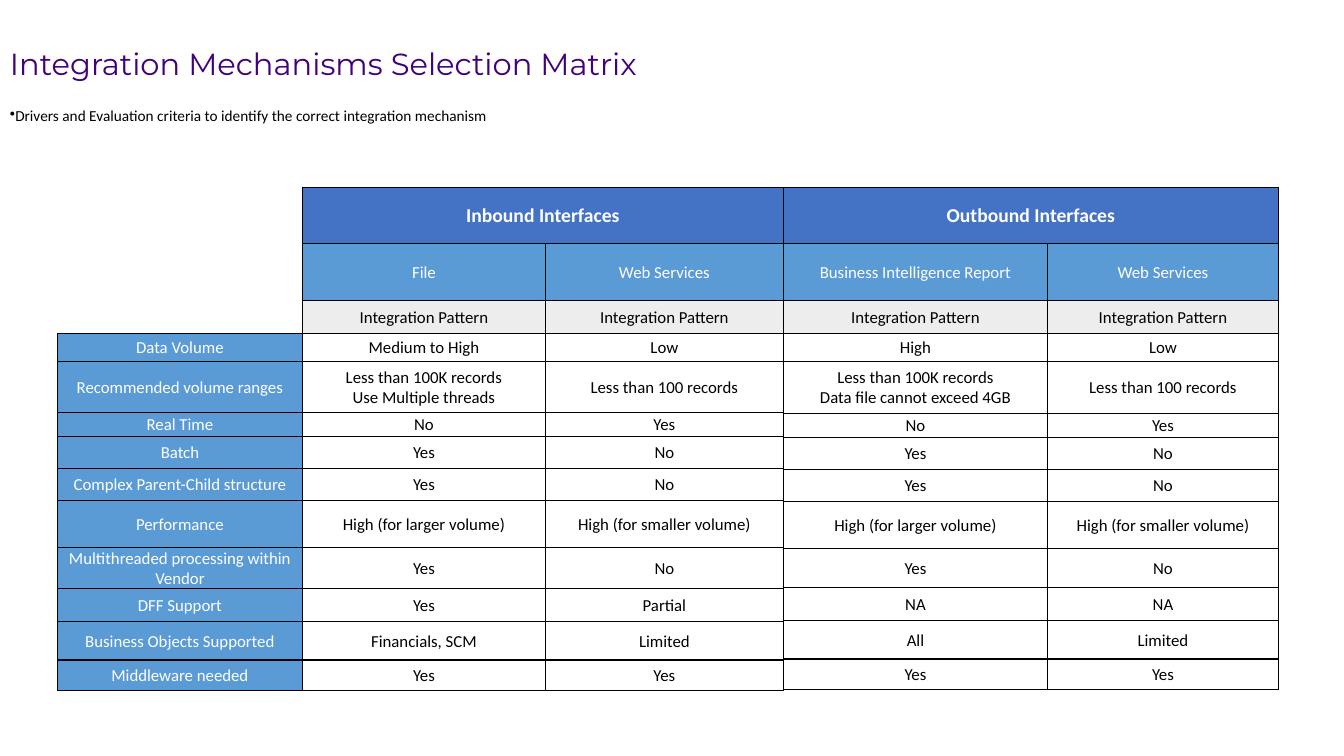
from dataclasses import dataclass

from lxml import etree
from pptx import Presentation
from pptx import util as u
from pptx.dml.color import RGBColor
from pptx.enum import text
from pptx.oxml import ns

TITLE = "Integration Mechanisms Selection Matrix"
SUBTITLE = "Drivers and Evaluation criteria to identify the correct integration mechanism"
PATTERN = "Integration Pattern"

# Criterion, then file import, inbound web services, BI report, outbound web services
CRITERIA = [
    ("Data Volume", "Medium to High", "Low", "High", "Low"),
    ("Recommended volume ranges",
     "Less than 100K records\nUse Multiple threads", "Less than 100 records",
     "Less than 100K records\nData file cannot exceed 4GB", "Less than 100 records"),
    ("Real Time", "No", "Yes", "No", "Yes"),
    ("Batch", "Yes", "No", "Yes", "No"),
    ("Complex Parent-Child structure", "Yes", "No", "Yes", "No"),
    ("Performance", "High (for larger volume)", "High (for smaller volume)",
     "High (for larger volume)", "High (for smaller volume)"),
    ("Multithreaded processing within Vendor", "Yes", "No", "Yes", "No"),
    ("DFF Support", "Yes", "Partial", "NA", "NA"),
    ("Business Objects Supported", "Financials, SCM", "Limited", "All", "Limited"),
    ("Middleware needed", "Yes", "Yes", "Yes", "Yes"),
]
HEADINGS = [
    ("", "Inbound Interfaces", "", "Outbound Interfaces", ""),
    ("", "File", "Web Services", "Business Intelligence Report", "Web Services"),
    ("", PATTERN, PATTERN, PATTERN, PATTERN),
]
MATRIX = HEADINGS + CRITERIA

TABLE_TOP = 1.86
INBOUND = dict(
    left=0.57, columns=slice(0, 3), labels=1, widths=[2.43, 2.41, 2.36],
    heights=[0.56, 0.56, 0.33, 0.28, 0.5, 0.24, 0.32, 0.32, 0.46, 0.41, 0.33, 0.38, 0.3])
OUTBOUND = dict(
    left=7.77, columns=slice(3, 5), labels=0, widths=[2.62, 2.29],
    heights=[0.56, 0.56, 0.33, 0.28, 0.51, 0.24, 0.32, 0.32, 0.46, 0.39, 0.33, 0.38, 0.3])


@dataclass(frozen=True)
class Theme:
    purple: str = "43007A"
    group: str = "4472C4"
    label: str = "5B9BD5"
    pattern: str = "EDEDED"
    white: str = "FFFFFF"
    black: str = "000000"
    title_font: str = "Montserrat"
    body_font: str = "Calibri"
    title_size: float = 21.8
    subtitle_size: float = 10.9
    group_size: float = 14
    cell_size: float = 12
    border: float = 1


THEME = Theme()


def style(paragraph, font, size, color, bold=False):
    paragraph.font.name = font
    paragraph.font.size = u.Pt(size)
    paragraph.font.bold = bold
    paragraph.font.color.rgb = RGBColor.from_string(color)


def add_line(slide, words, top, height, font, size, color):
    """Add a full-width, one-paragraph text box and return its frame."""
    box = slide.shapes.add_textbox(u.Inches(0), u.Inches(top), u.Inches(12.4), u.Inches(height))
    frame = box.text_frame
    frame.word_wrap = True
    frame.text = words
    frame.paragraphs[0].line_spacing = 0.9
    style(frame.paragraphs[0], font, size, color)
    return frame


def set_borders(cell, drawn):
    """Draw the sides named in drawn (from L, R, T, B) and hide the others."""
    properties = cell._tc.get_or_add_tcPr()
    for side in "LRTB":
        line = etree.SubElement(properties, ns.qn("a:ln" + side), w=str(u.Pt(THEME.border)))
        if side in drawn:
            fill = etree.SubElement(line, ns.qn("a:solidFill"))
            etree.SubElement(fill, ns.qn("a:srgbClr"), val=THEME.black)
        else:
            etree.SubElement(line, ns.qn("a:noFill"))


def cell_look(row, is_label):
    """Return fill, text colour, size and weight for a cell."""
    in_headings = row < len(HEADINGS)
    if is_label:
        fill = THEME.white if in_headings else THEME.label
        return fill, THEME.white, THEME.cell_size, False
    if row == 0:
        return THEME.group, THEME.white, THEME.group_size, True
    if row == 1:
        return THEME.label, THEME.white, THEME.cell_size, False
    fill = THEME.pattern if in_headings else THEME.white
    return fill, THEME.black, THEME.cell_size, False


def fill_cell(cell, words, row, is_label):
    fill, color, size, bold = cell_look(row, is_label)
    cell.text = words
    cell.vertical_anchor = text.MSO_ANCHOR.MIDDLE
    cell.margin_left = cell.margin_right = cell.margin_top = u.Inches(0.01)
    cell.margin_bottom = 0
    for paragraph in cell.text_frame.paragraphs:
        paragraph.alignment = text.PP_ALIGN.CENTER
        style(paragraph, THEME.body_font, size, color, bold)
    last_heading = len(HEADINGS) - 1
    if is_label and row <= last_heading:
        set_borders(cell, "RB" if row == last_heading else "R")
    else:
        set_borders(cell, "LRTB")
    cell.fill.solid()
    cell.fill.fore_color.rgb = RGBColor.from_string(fill)


def add_interfaces(slide, left, columns, labels, widths, heights):
    table = slide.shapes.add_table(
        len(heights), len(widths), u.Inches(left), u.Inches(TABLE_TOP),
        u.Inches(sum(widths)), u.Inches(sum(heights))).table
    table.first_row = table.horz_banding = False
    for column, width in zip(table.columns, widths):
        column.width = u.Inches(width)
    for row, height in zip(table.rows, heights):
        row.height = u.Inches(height)
    for row, entries in enumerate(MATRIX):
        for column, words in enumerate(entries[columns]):
            fill_cell(table.cell(row, column), words, row, column < labels)
    table.cell(0, labels).merge(table.cell(0, labels + 1))


def main():
    deck = Presentation()
    deck.slide_width, deck.slide_height = u.Inches(13.33), u.Inches(7.5)
    slide = deck.slides.add_slide(deck.slide_layouts[6])

    subtitle = add_line(slide, SUBTITLE, 1.03, 0.83,
                        THEME.body_font, THEME.subtitle_size, THEME.black).paragraphs[0]
    subtitle.space_before = u.Pt(10)
    properties = subtitle._p.get_or_add_pPr()
    properties.set("marL", "0")
    properties.set("indent", str(u.Inches(-0.25)))
    bullet = etree.Element(ns.qn("a:buChar"), char="•")
    properties.find(ns.qn("a:defRPr")).addprevious(bullet)

    title = add_line(slide, TITLE, 0.45, 0.41,
                     THEME.title_font, THEME.title_size, THEME.purple)
    title.vertical_anchor = text.MSO_ANCHOR.MIDDLE

    for interfaces in (INBOUND, OUTBOUND):
        add_interfaces(slide, **interfaces)
    deck.save("out.pptx")


if __name__ == "__main__":
    main()
